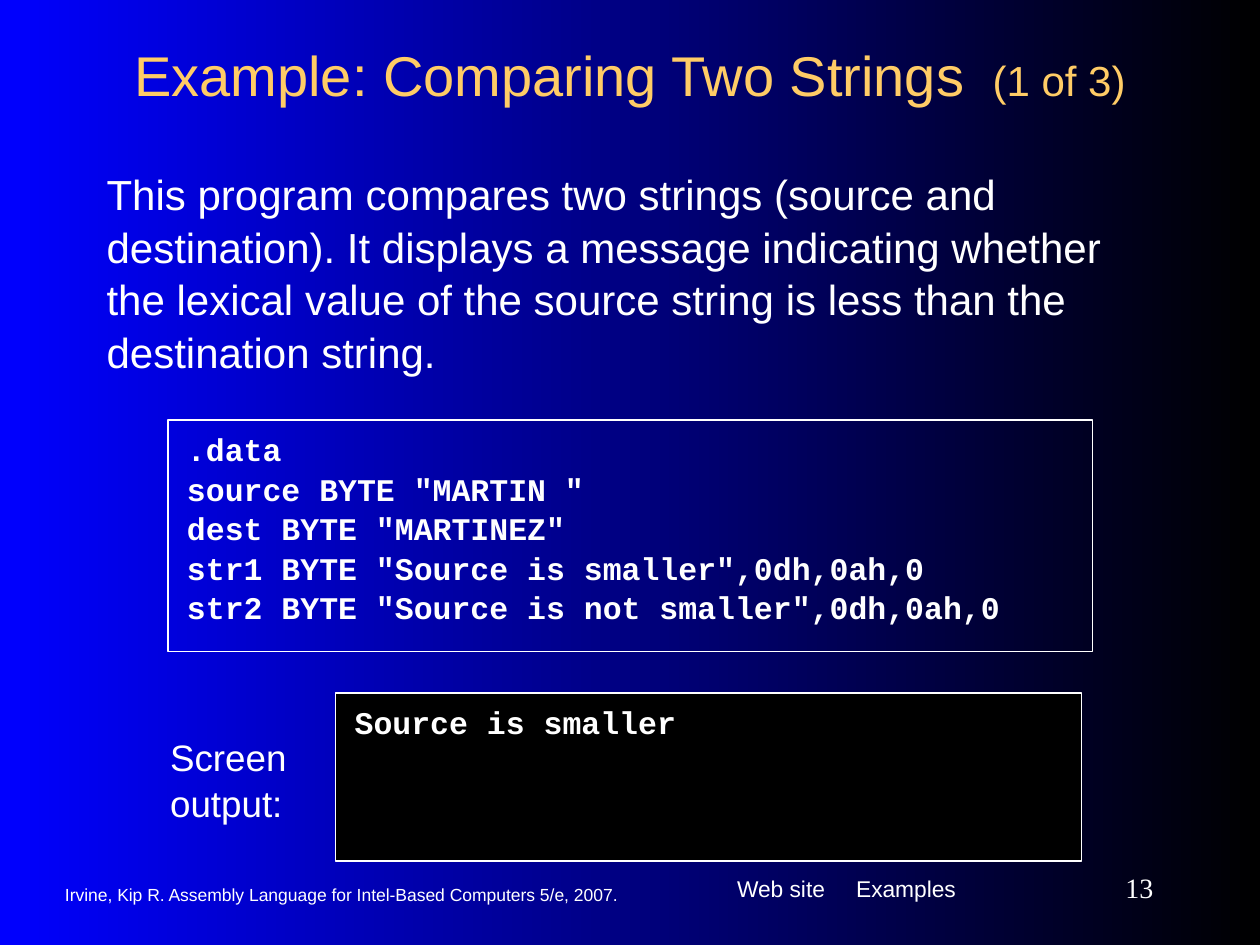
from dataclasses import dataclass

from lxml import etree
from pptx import Presentation
from pptx.dml.color import RGBColor
from pptx.enum.shapes import MSO_SHAPE
from pptx.enum.text import MSO_ANCHOR, PP_ALIGN
from pptx.oxml.ns import qn
from pptx.util import Cm, Pt

RECT = MSO_SHAPE.RECTANGLE
TOP, MIDDLE = MSO_ANCHOR.TOP, MSO_ANCHOR.MIDDLE
LEFT, CENTER, RIGHT = PP_ALIGN.LEFT, PP_ALIGN.CENTER, PP_ALIGN.RIGHT


@dataclass(frozen=True)
class Theme:
    white: RGBColor = RGBColor(0xFF, 0xFF, 0xFF)
    black: RGBColor = RGBColor(0, 0, 0)
    blue: RGBColor = RGBColor(0, 0, 0xFF)
    gold: RGBColor = RGBColor(0xFF, 0xCC, 0x66)
    sans: str = "Arial"
    serif: str = "Times New Roman"
    mono: str = "Courier New"
    title: Pt = Pt(32)
    body: Pt = Pt(24)
    label: Pt = Pt(21)
    code: Pt = Pt(18)
    page: Pt = Pt(16)
    link: Pt = Pt(13)
    foot: Pt = Pt(10)
    gap: Pt = Pt(11.2)


theme = Theme()


def write(shape, lines, size, face=theme.sans, color=theme.white, align=LEFT,
          anchor=TOP, pad=(0.25, 0.38), space=1.0, bold=False, tab=None):
    """Fill a shape with one paragraph per line; pad is (side, top) in cm."""
    frame = shape.text_frame
    frame.word_wrap = True
    frame.vertical_anchor = anchor
    frame.margin_left = frame.margin_right = Cm(pad[0])
    frame.margin_top = frame.margin_bottom = Cm(pad[1])
    for i, line in enumerate(lines):
        para = frame.add_paragraph() if i else frame.paragraphs[0]
        para.add_run().text = line
        para.alignment = align
        para.line_spacing = space
        if i:
            para.space_before = theme.gap
        if tab:
            stops = etree.SubElement(para._p.get_or_add_pPr(), qn("a:tabLst"))
            etree.SubElement(stops, qn("a:tab"), pos=str(Cm(tab)), algn="l")
        para.font.size, para.font.name = size, face
        para.font.bold = bold
        para.font.color.rgb = color


deck = Presentation()
deck.slide_width, deck.slide_height = Cm(25.4), Cm(19.05)
slide = deck.slides.add_slide(deck.slide_layouts[6])
shapes = slide.shapes

back = slide.background.fill
back.gradient()
back.gradient_angle = 0
for stop, color, place in zip(back.gradient_stops, (theme.blue, theme.black), (0, 1)):
    stop.color.rgb, stop.position = color, place

# Footer
slim = (0.25, 0.13)
links = shapes.add_textbox(Cm(14.61), Cm(17.35), Cm(5.72), Cm(1.32))
write(links, ["Web site\tExamples"], theme.link, tab=2.4)
credit = shapes.add_textbox(Cm(1.06), Cm(17.6), Cm(12.07), Cm(0.85))
write(credit, ["Irvine, Kip R. Assembly Language for Intel-Based Computers 5/e, 2007."],
      theme.foot, anchor=MIDDLE, pad=slim)
page = shapes.add_textbox(Cm(20.75), Cm(17.35), Cm(2.75), Cm(1.06))
write(page, ["13"], theme.page, theme.serif, align=RIGHT, anchor=MIDDLE, pad=slim)

# Title and introduction
title = shapes.add_textbox(Cm(1.9), Cm(0.64), Cm(21.6), Cm(1.7))
write(title, ["Example: Comparing Two Strings "], theme.title, color=theme.gold,
      align=CENTER, anchor=MIDDLE, pad=slim)
part = title.text_frame.paragraphs[0].add_run()
part.text = " (1 of 3)"
part.font.size = theme.body
intro = shapes.add_textbox(Cm(1.9), Cm(2.96), Cm(21.38), Cm(4.83))
write(intro, ["This program compares two strings (source and destination). "
              "It displays a message indicating whether the lexical value of "
              "the source string is less than the destination string."],
      theme.body, space=1.05)

# Program data and its output
data = [
    '.data',
    'source BYTE "MARTIN "',
    'dest BYTE "MARTINEZ"',
    'str1 BYTE "Source is smaller",0dh,0ah,0',
    'str2 BYTE "Source is not smaller",0dh,0ah,0',
]
panels = [
    ((3.39, 8.47, 18.63, 4.66), None, data),
    ((6.77, 13.97, 15.03, 3.39), theme.black, ["Source is smaller"]),
]
for area, color, lines in panels:
    panel = shapes.add_shape(RECT, *map(Cm, area))
    panel.shadow.inherit = False
    if color is None:
        panel.fill.background()
    else:
        panel.fill.solid()
        panel.fill.fore_color.rgb = color
    panel.line.color.rgb = theme.white
    panel.line.width = Pt(0.75)
    write(panel, lines, theme.code, theme.mono, pad=(0.38, 0.51), space=0.53, bold=True)

label = shapes.add_textbox(Cm(3.18), Cm(14.39), Cm(4.45), Cm(2.54))
write(label, ["Screen output:"], theme.label, space=1.05)

deck.save("out.pptx")
